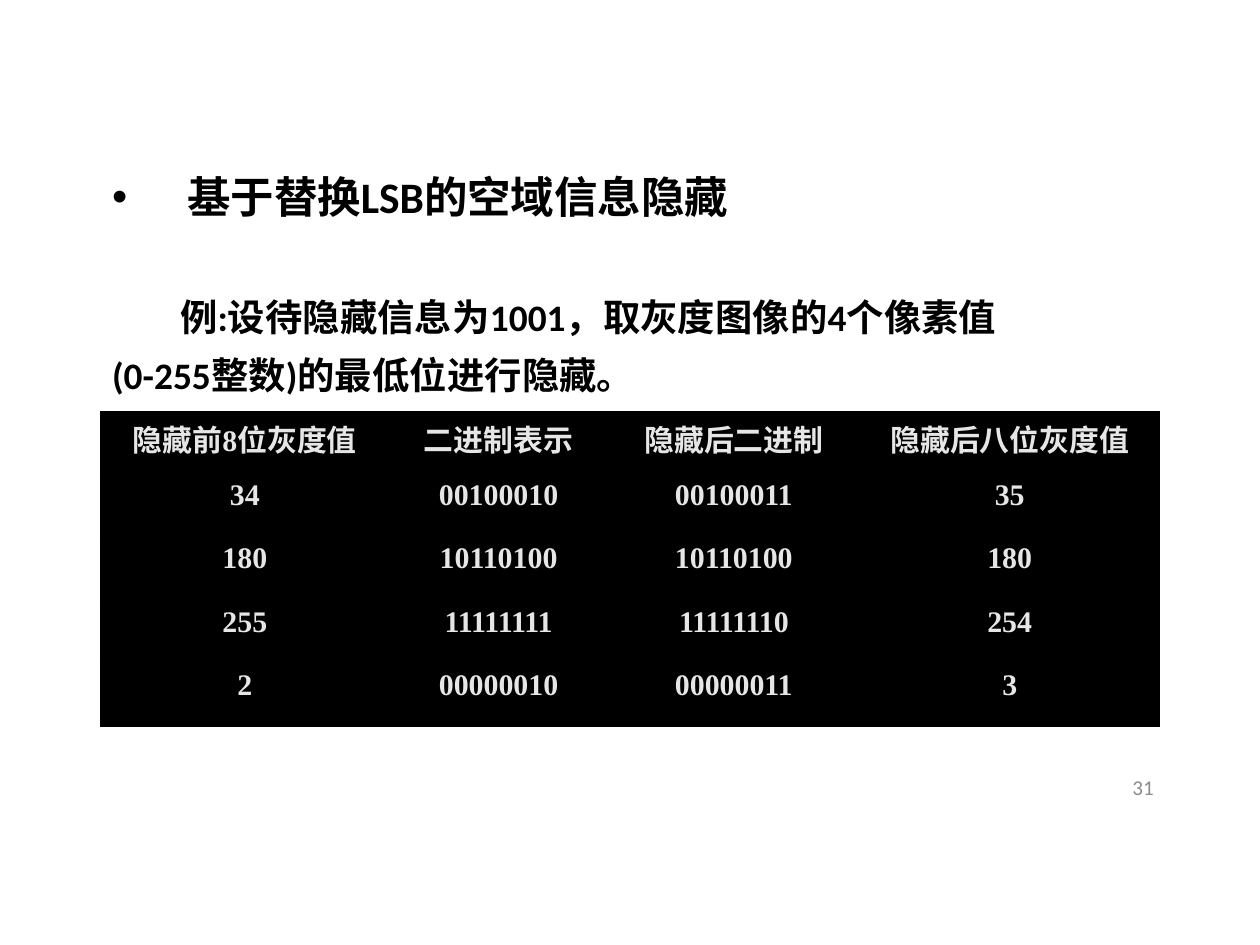
import pptx
import pptx.util
import pptx.dml.color
import pptx.enum.lang
import pptx.enum.text
import pptx.oxml
import pptx.oxml.ns

Inches, Pt = pptx.util.Inches, pptx.util.Pt
RGB = pptx.dml.color.RGBColor.from_string
ALIGN = pptx.enum.text.PP_ALIGN
ANCHOR = pptx.enum.text.MSO_ANCHOR
CHINESE = pptx.enum.lang.MSO_LANGUAGE_ID.SIMPLIFIED_CHINESE

# Content
HEADING = [("基于替换", "Noto Sans CJK SC"), ("LSB", "Calibri"),
           ("的空域信息隐藏", "Noto Sans CJK SC")]
EXAMPLE_LINES = ["例:设待隐藏信息为1001，取灰度图像的4个像素值",
                 "(0-255整数)的最低位进行隐藏。"]
PIXEL_ROWS = [
    ("隐藏前8位灰度值", "二进制表示", "隐藏后二进制", "隐藏后八位灰度值"),
    ("34", "00100010", "00100011", "35"),
    ("180", "10110100", "10110100", "180"),
    ("255", "11111111", "11111110", "254"),
    ("2", "00000010", "00000011", "3"),
]
PAGE_NUMBER = "31"

THEME = {
    "body_font": "Calibri", "table_font": "Times New Roman",
    "ink": "000000", "table_fill": "000000", "table_text": "E7E6E6", "page": "8C8C8C",
    "heading_size": 26.2, "example_size": 22.5, "table_size": 18, "page_size": 12.7,
}

# Layout
BODY_BOX = (0.84, 1.42, 9.09, 3.71)
PAGE_BOX = (7.56, 6.39, 2.2, 0.4)
TABLE_LEFT, TABLE_TOP = 0.84, 3.45
COLUMN_WIDTHS = [2.42, 1.83, 2.11, 2.51]
ROW_HEIGHTS = [0.52, 0.53, 0.53, 0.53, 0.52]
HANGING = 0.63
SPACE_BEFORE = 10.6
EXAMPLE_GAP = 46


def add_text(paragraph, text, *, size, color, font=THEME["body_font"], bold=True, align=None):
    run = paragraph.add_run()
    run.text = text
    run.font.name, run.font.size, run.font.bold = font, Pt(size), bold
    run.font.color.rgb = RGB(color)
    run.font.language_id = CHINESE
    if align is not None:
        paragraph.alignment = align


def space_paragraph(paragraph, before, left=0, first=0):
    paragraph.line_spacing = 0.9
    paragraph.space_before = Pt(before)
    properties = paragraph._p.get_or_add_pPr()
    properties.set("marL", str(Inches(left)))
    properties.set("indent", str(Inches(first)))
    return properties


def add_frame(slide, box):
    frame = slide.shapes.add_textbox(*map(Inches, box)).text_frame
    frame.word_wrap = True
    return frame


def set_borders(cell, color):
    properties = cell._tc.get_or_add_tcPr()
    for position, side in enumerate(("lnL", "lnR", "lnT", "lnB")):
        properties.insert(position, pptx.oxml.parse_xml(
            f'<a:{side} {pptx.oxml.ns.nsdecls("a")} w="{Pt(1)}"><a:solidFill>'
            f'<a:srgbClr val="{color}"/></a:solidFill></a:{side}>'))


def add_body(slide):
    frame = add_frame(slide, BODY_BOX)
    # Bulleted heading
    heading = frame.paragraphs[0]
    properties = space_paragraph(heading, SPACE_BEFORE, HANGING, -HANGING)
    for tag, attributes in (("buFont", 'typeface="Arial"'), ("buChar", 'char="•"')):
        properties.append(pptx.oxml.parse_xml(
            f'<a:{tag} {pptx.oxml.ns.nsdecls("a")} {attributes}/>'))
    for text, font in HEADING:
        add_text(heading, text, size=THEME["heading_size"], color=THEME["ink"], font=font)
    # Example in two lines, the first one indented
    for text, before, first in zip(EXAMPLE_LINES, (EXAMPLE_GAP, SPACE_BEFORE), (0.57, 0)):
        paragraph = frame.add_paragraph()
        space_paragraph(paragraph, before, first=first)
        add_text(paragraph, text, size=THEME["example_size"], color=THEME["ink"])


def add_pixel_table(slide):
    table = slide.shapes.add_table(
        len(ROW_HEIGHTS), len(COLUMN_WIDTHS), Inches(TABLE_LEFT), Inches(TABLE_TOP),
        Inches(sum(COLUMN_WIDTHS)), Inches(sum(ROW_HEIGHTS))).table
    for column, width in zip(table.columns, COLUMN_WIDTHS):
        column.width = Inches(width)
    for row, height, values in zip(table.rows, ROW_HEIGHTS, PIXEL_ROWS):
        row.height = Inches(height)
        for cell, value in zip(row.cells, values):
            cell.margin_left = cell.margin_right = Inches(0.11)
            cell.margin_top = cell.margin_bottom = Inches(0.04)
            cell.fill.solid()
            cell.fill.fore_color.rgb = RGB(THEME["table_fill"])
            set_borders(cell, THEME["table_fill"])
            add_text(cell.text_frame.paragraphs[0], value, size=THEME["table_size"],
                     color=THEME["table_text"], font=THEME["table_font"], align=ALIGN.CENTER)


def add_page_number(slide):
    frame = add_frame(slide, PAGE_BOX)
    frame.vertical_anchor = ANCHOR.MIDDLE
    add_text(frame.paragraphs[0], PAGE_NUMBER, size=THEME["page_size"],
             color=THEME["page"], bold=False, align=ALIGN.RIGHT)


def main():
    presentation = pptx.Presentation()
    presentation.slide_width, presentation.slide_height = Inches(10.55), Inches(7.91)
    slide = presentation.slides.add_slide(presentation.slide_layouts[6])
    add_body(slide)
    add_pixel_table(slide)
    add_page_number(slide)
    presentation.save("out.pptx")


if __name__ == "__main__":
    main()
